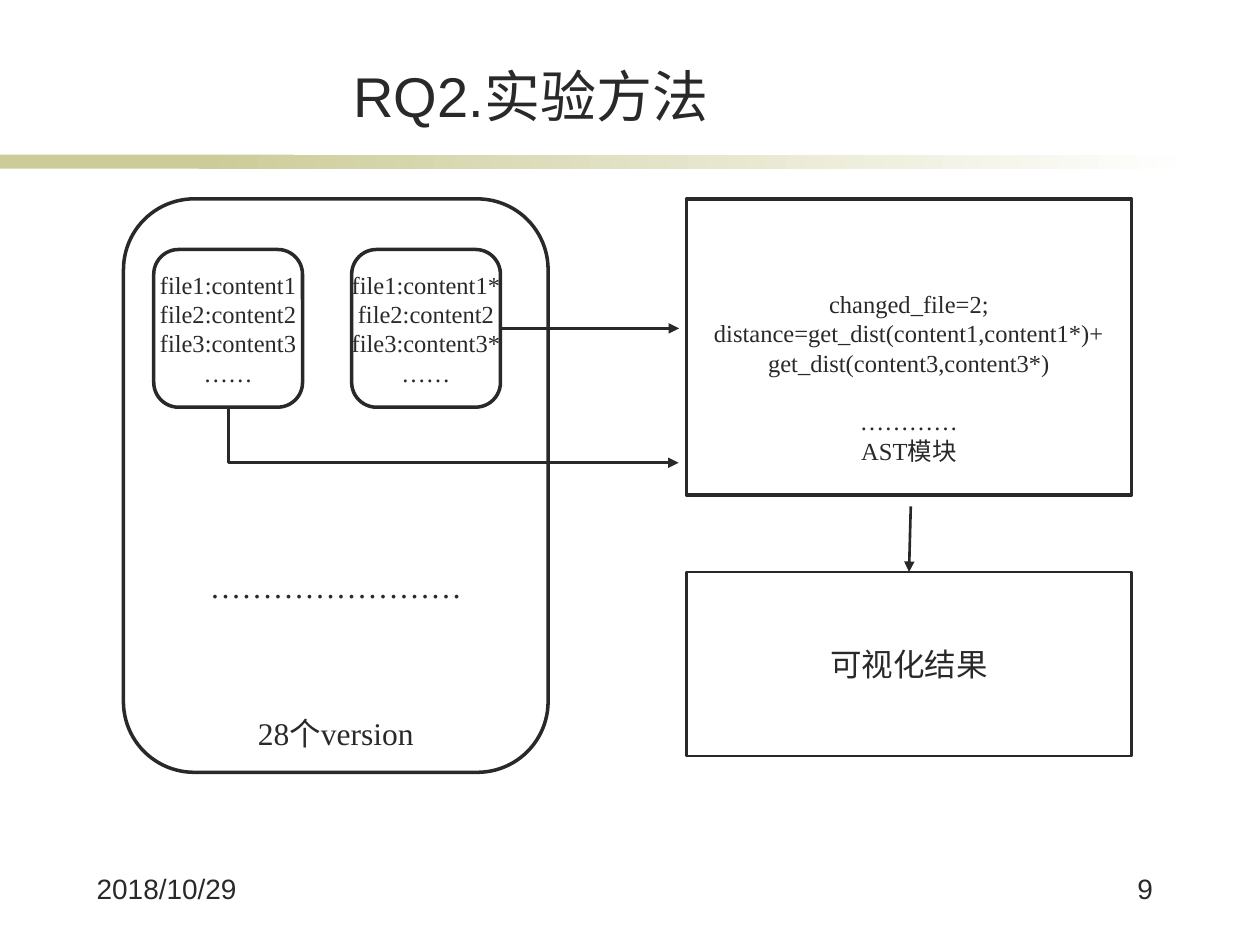
"""Build the RQ2 experiment method slide."""
from lxml import etree
from pptx import Presentation
from pptx.dml.color import RGBColor
from pptx.enum.shapes import MSO_CONNECTOR, MSO_SHAPE
from pptx.enum.text import MSO_ANCHOR, PP_ALIGN
from pptx.oxml.ns import qn
from pptx.util import Cm, Pt

RECTANGLE, ROUNDED = MSO_SHAPE.RECTANGLE, MSO_SHAPE.ROUNDED_RECTANGLE
STRAIGHT, ELBOW = MSO_CONNECTOR.STRAIGHT, MSO_CONNECTOR.ELBOW
TOP, MIDDLE, BOTTOM = MSO_ANCHOR.TOP, MSO_ANCHOR.MIDDLE, MSO_ANCHOR.BOTTOM
LEFT, CENTER, RIGHT = PP_ALIGN.LEFT, PP_ALIGN.CENTER, PP_ALIGN.RIGHT
INK = RGBColor(0x29, 0x29, 0x29)
ARROW_INK = RGBColor(0x28, 0x28, 0x28)
OLIVE = RGBColor(0xCC, 0xCC, 0x99)
WHITE = RGBColor(0xFF, 0xFF, 0xFF)
SANS, SERIF = "Arial", "Times New Roman"


def write_lines(shape, lines, size, font, align, anchor, spacing=None):
    frame = shape.text_frame
    frame.vertical_anchor = anchor
    for index, (text, space_before) in enumerate(lines):
        paragraph = frame.add_paragraph() if index else frame.paragraphs[0]
        paragraph.alignment = align
        paragraph.space_before = Pt(space_before)
        paragraph.line_spacing = spacing
        run = paragraph.add_run()
        run.text = text
        run.font.size = Pt(size)
        run.font.name = font
        run.font.color.rgb = INK


def style_arrow(connector, color):
    connector.line.color.rgb = color
    connector.line.width = Pt(1.5)
    line = connector.line._get_or_add_ln()
    etree.SubElement(line, qn("a:tailEnd"), type="triangle")
    etree.SubElement(connector._element.spPr, qn("a:effectLst"))


presentation = Presentation()
presentation.slide_width = Cm(25.4)
presentation.slide_height = Cm(19.05)
slide = presentation.slides.add_slide(presentation.slide_layouts[6])
shapes = slide.shapes

solid_bar = shapes.add_shape(RECTANGLE, Cm(0), Cm(3.12), Cm(5.92), Cm(0.28))
solid_bar.fill.solid()
solid_bar.fill.fore_color.rgb = OLIVE
fading_bar = shapes.add_shape(RECTANGLE, Cm(4.01), Cm(3.12), Cm(20.12), Cm(0.28))
fading_bar.fill.gradient()
fading_bar.fill.gradient_angle = 0
for stop, color in zip(fading_bar.fill.gradient_stops, (OLIVE, WHITE)):
    stop.color.rgb = color
for bar in (solid_bar, fading_bar):
    bar.line.fill.background()
    bar.shadow.inherit = False

labels = [
    ("RQ2.实验方法", 2.9, 1.12, 15.6, 1.6, 32, CENTER, BOTTOM),
    ("2018/10/29", 1.7, 17.45, 3.58, 1.27, 16, LEFT, TOP),
    ("9", 20.9, 17.45, 2.59, 1.27, 16, RIGHT, TOP),
]
for text, left, top, width, height, size, align, anchor in labels:
    label = shapes.add_textbox(Cm(left), Cm(top), Cm(width), Cm(height))
    label.text_frame.word_wrap = True
    write_lines(label, [(text, 0)], size, SANS, align, anchor)

old_files = ["file1:content1", "file2:content2", "file3:content3", "……"]
new_files = ["file1:content1*", "file2:content2", "file3:content3*", "……"]
comparison = [
    ("changed_file=2;", 0),
    ("distance=get_dist(content1,content1*)+", 0),
    ("get_dist(content3,content3*)", 0),
    ("…………", 16.8),
    ("AST模块", 0),
]
boxes = [
    (ROUNDED, 2.49, 4.01, 8.56, 11.56, 2, 18, BOTTOM, 0,
     [("……………………", 0), ("28个version", 62)]),
    (ROUNDED, 3.1, 5.03, 3, 3.18, 2, 14, MIDDLE, 0, [(text, 0) for text in old_files]),
    (ROUNDED, 7.09, 5.03, 3, 3.18, 2, 14, MIDDLE, 0, [(text, 0) for text in new_files]),
    (RECTANGLE, 13.84, 4.01, 8.97, 5.97, 2, 14, BOTTOM, 0.6, comparison),
    (RECTANGLE, 13.84, 11.53, 8.97, 3.71, 1.5, 18, MIDDLE, 0, [("可视化结果", 0)]),
]
drawn_boxes = []
for kind, left, top, width, height, weight, size, anchor, inset, lines in boxes:
    box = shapes.add_shape(kind, Cm(left), Cm(top), Cm(width), Cm(height))
    box.fill.solid()
    box.fill.fore_color.rgb = WHITE
    box.line.color.rgb = INK
    box.line.width = Pt(weight)
    box.shadow.inherit = False
    frame = box.text_frame
    frame.word_wrap = False
    frame.margin_left = frame.margin_right = frame.margin_top = Cm(0)
    frame.margin_bottom = Cm(inset)
    spacing = Pt(16.8) if size == 14 else None
    write_lines(box, lines, size, SERIF, CENTER, anchor, spacing)
    drawn_boxes.append(box)
versions, old_version, new_version, ast_module, result = drawn_boxes

old_arrow = shapes.add_connector(ELBOW, Cm(9.7), Cm(4.24), Cm(8.59), Cm(13.31))
old_arrow._element.spPr.find(qn("a:xfrm")).set("rot", "16200000")
old_arrow._element.spPr.find(qn("a:prstGeom")).set("prst", "bentConnector2")
style_arrow(old_arrow, INK)

new_arrow = shapes.add_connector(STRAIGHT, Cm(10.09), Cm(6.62), Cm(13.69), Cm(6.62))
new_arrow.begin_connect(new_version, 3)
style_arrow(new_arrow, INK)

result_arrow = shapes.add_connector(STRAIGHT, Cm(18.36), Cm(10.21), Cm(18.33), Cm(11.53))
result_arrow.end_connect(result, 0)
style_arrow(result_arrow, ARROW_INK)

presentation.save("out.pptx")
